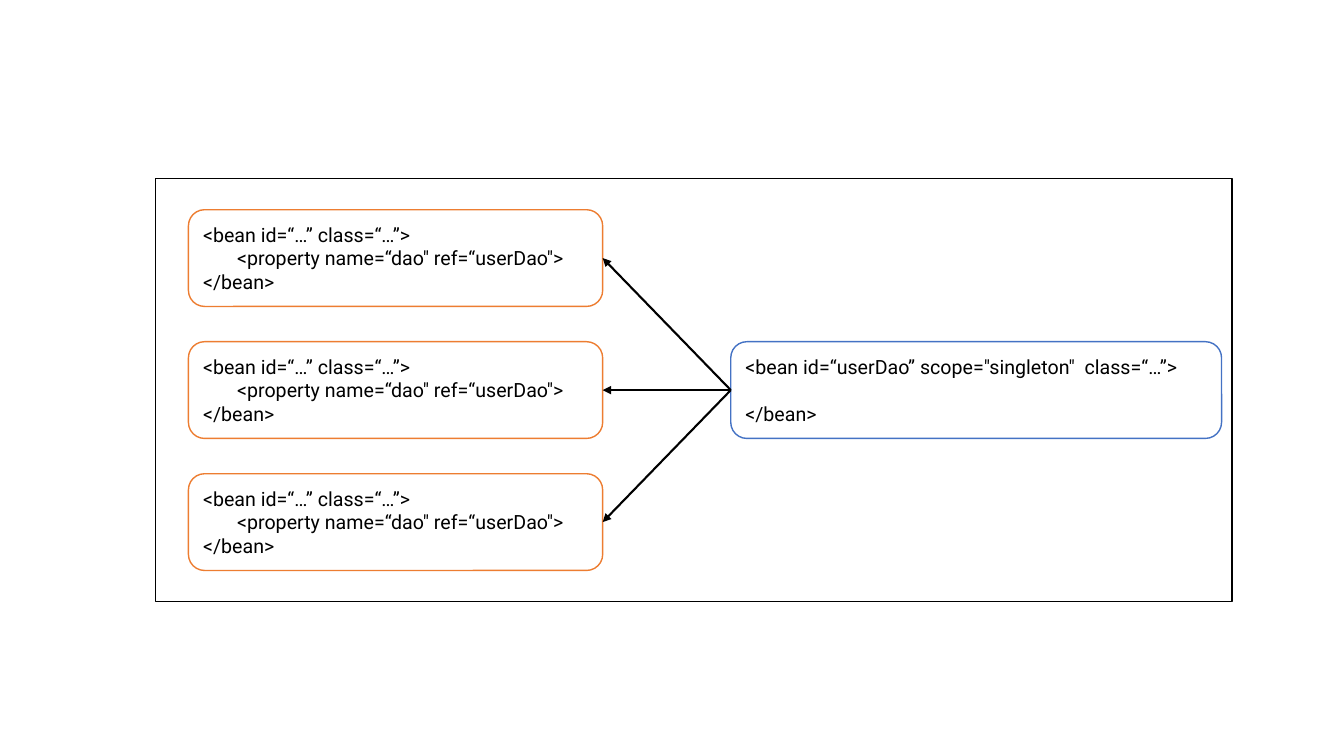
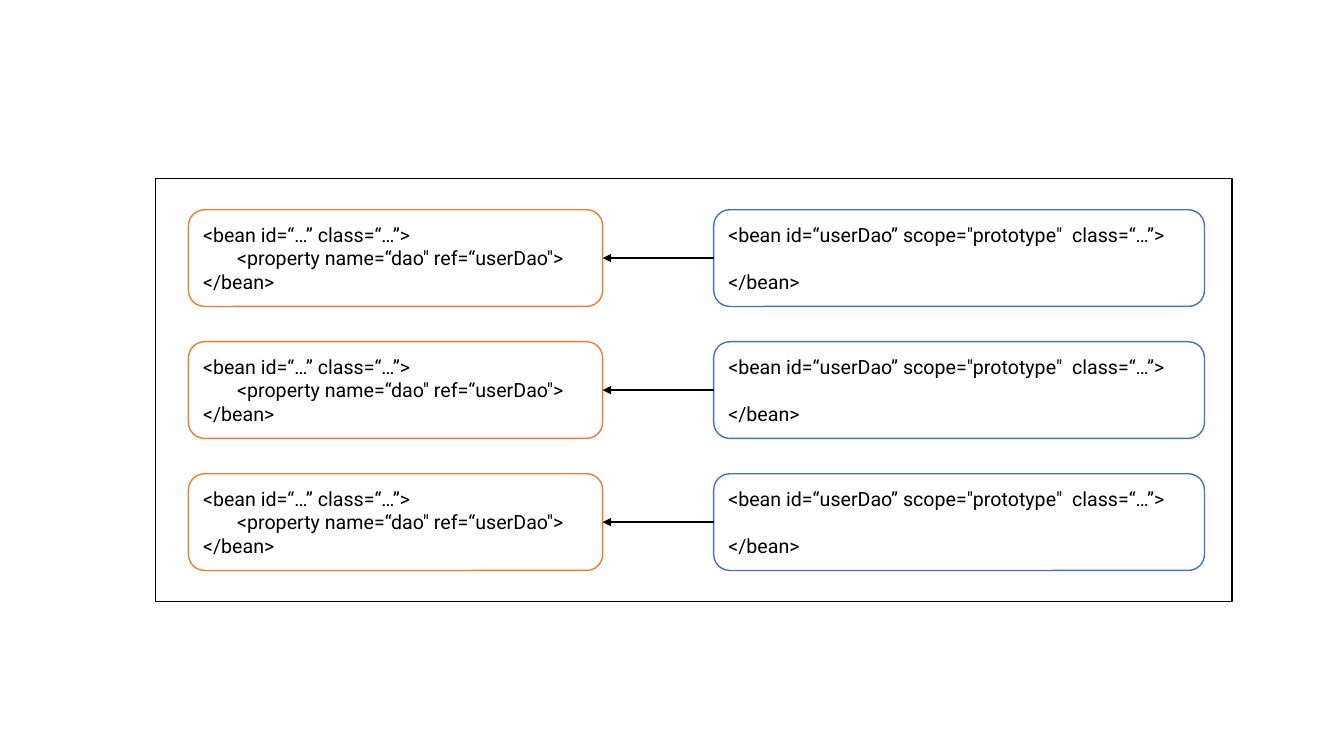
from lxml.etree import SubElement
from pptx import Presentation
from pptx.dml.color import RGBColor
from pptx.enum.shapes import MSO_CONNECTOR as Connector, MSO_SHAPE as Shape
from pptx.enum.text import MSO_ANCHOR as Anchor, PP_ALIGN as Align
from pptx.oxml.ns import qn
from pptx.util import Pt

BLACK = RGBColor(0x00, 0x00, 0x00)
WHITE = RGBColor(0xFF, 0xFF, 0xFF)
ORANGE = RGBColor(0xED, 0x7D, 0x31)
BLUE = RGBColor(0x44, 0x72, 0xC4)
FONT = "Roboto"

CLIENT_LINES = [
    ("<bean id=“…” class=“…”>", 0, 0),
    ("<property name=“dao\" ref=“userDao\">", 24.3, 0),
    ("</bean>", 0, 0),
]
SCOPES = [
    {"scope": "singleton", "left": 522, "rows": [1]},
    {"scope": "prototype", "left": 509.8, "rows": [0, 1, 2]},
]

FRAME = (110.9, 127.4, 769, 302.4)
ROW_COUNT = 3
FIRST_TOP, ROW_PITCH, BOX_HEIGHT = 149.8, 94.3, 69.1
CLIENT_LEFT, CLIENT_WIDTH = 134.6, 295.9
DAO_WIDTH = 350.6
LINE_HEIGHT = 16.9
LEFT_SIDE, RIGHT_SIDE = 1, 3


def dao_lines(scope):
    return [
        (f"<bean id=“userDao” scope=\"{scope}\"  class=“…”>", 0, 0),
        ("</bean>", 0, LINE_HEIGHT),
    ]


def add_box(slide, preset, bounds, line_color):
    shape = slide.shapes.add_shape(preset, *map(Pt, bounds))
    shape.shadow.inherit = False
    shape.fill.solid()
    shape.fill.fore_color.rgb = WHITE
    shape.line.color.rgb = line_color
    shape.line.width = Pt(1)
    return shape


def add_bean(slide, left, row, width, line_color, lines):
    bounds = (left, FIRST_TOP + row * ROW_PITCH, width, BOX_HEIGHT)
    shape = add_box(slide, Shape.ROUNDED_RECTANGLE, bounds, line_color)
    frame = shape.text_frame
    frame.word_wrap = True
    frame.vertical_anchor = Anchor.MIDDLE
    for index, (text, indent, space_before) in enumerate(lines):
        paragraph = frame.add_paragraph() if index else frame.paragraphs[0]
        paragraph.text = text
        paragraph.alignment = Align.LEFT
        paragraph.space_before = Pt(space_before)
        paragraph.font.name = FONT
        paragraph.font.size = Pt(14)
        paragraph.font.color.rgb = BLACK
        paragraph._p.get_or_add_pPr().set("marL", str(Pt(indent)))
    return shape


def add_arrow(slide, source, target):
    arrow = slide.shapes.add_connector(Connector.STRAIGHT, 0, 0, 0, 0)
    arrow.begin_connect(source, LEFT_SIDE)
    arrow.end_connect(target, RIGHT_SIDE)
    arrow.line.color.rgb = BLACK
    arrow.line.width = Pt(1.5)
    SubElement(arrow.line._get_or_add_ln(), qn("a:tailEnd"), type="triangle")
    SubElement(arrow._element.spPr, qn("a:effectLst"))


def add_scope_slide(presentation, scope, left, rows):
    slide = presentation.slides.add_slide(presentation.slide_layouts[6])
    add_box(slide, Shape.RECTANGLE, FRAME, BLACK)
    clients = [
        add_bean(slide, CLIENT_LEFT, row, CLIENT_WIDTH, ORANGE, CLIENT_LINES)
        for row in range(ROW_COUNT)
    ]
    daos = [
        add_bean(slide, left, row, DAO_WIDTH, BLUE, dao_lines(scope))
        for row in rows
    ]
    for index, client in enumerate(clients):
        add_arrow(slide, daos[index % len(daos)], client)


def main():
    presentation = Presentation()
    presentation.slide_width = Pt(960)
    presentation.slide_height = Pt(540)
    for scope in SCOPES:
        add_scope_slide(presentation, **scope)
    presentation.save("out.pptx")


if __name__ == "__main__":
    main()
